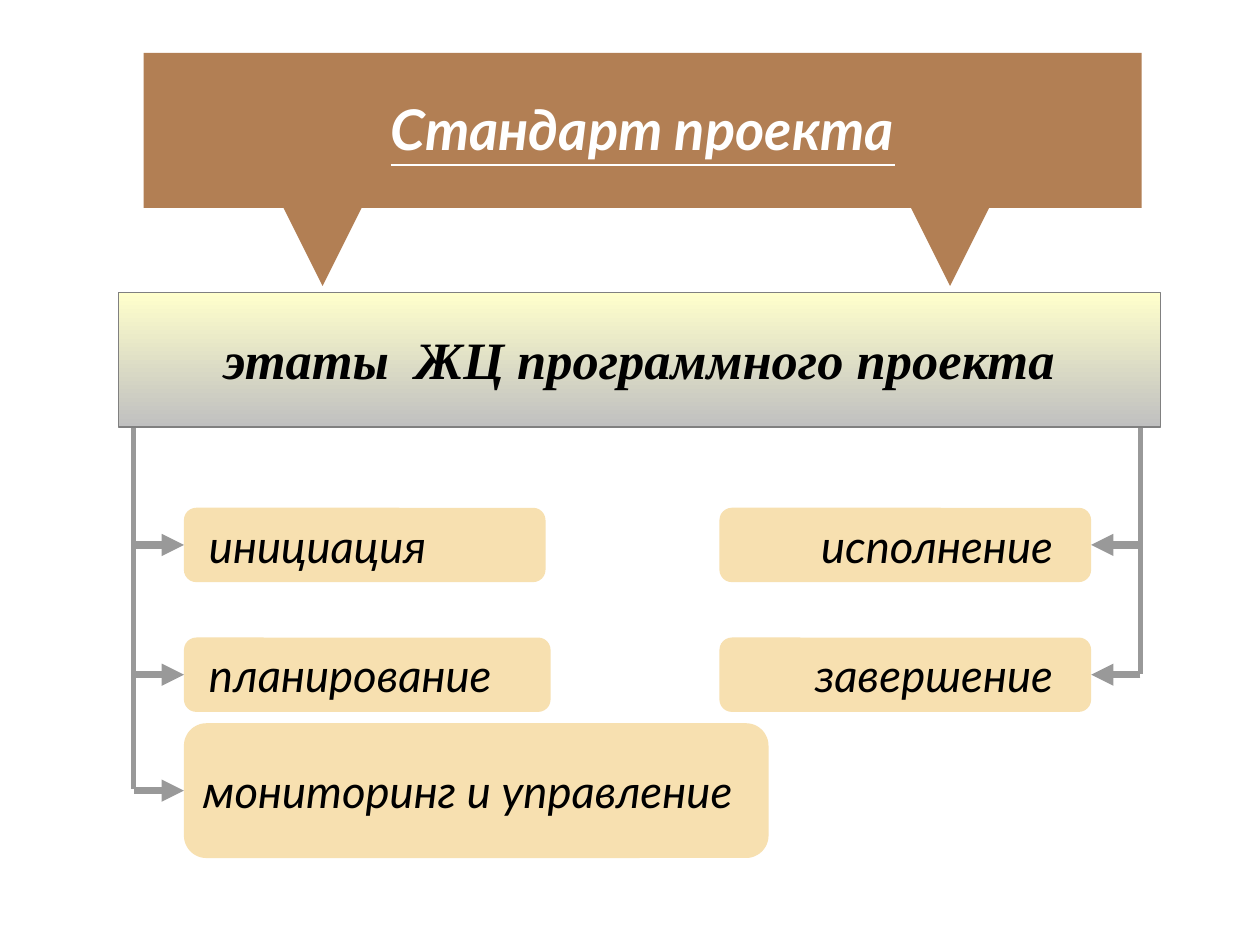
from dataclasses import dataclass

from lxml import etree
from pptx import Presentation
from pptx.dml.color import RGBColor
from pptx.enum.shapes import MSO_CONNECTOR, MSO_SHAPE
from pptx.enum.text import MSO_ANCHOR, PP_ALIGN
from pptx.oxml.ns import qn
from pptx.util import Inches, Pt

STRAIGHT = MSO_CONNECTOR.STRAIGHT
RECTANGLE = MSO_SHAPE.RECTANGLE
ROUNDED = MSO_SHAPE.ROUNDED_RECTANGLE
MIDDLE = MSO_ANCHOR.MIDDLE
LEFT, CENTER, RIGHT = PP_ALIGN.LEFT, PP_ALIGN.CENTER, PP_ALIGN.RIGHT

BROWN = RGBColor(0xB2, 0x7F, 0x54)
SAND = RGBColor(0xF7, 0xE0, 0xB0)
CREAM = RGBColor(0xFF, 0xFF, 0xCC)
SILVER = RGBColor(0xC0, 0xC0, 0xC0)
BORDER_GRAY = RGBColor(0x80, 0x80, 0x80)
TRUNK_GRAY = RGBColor(0x99, 0x99, 0x99)
WHITE = RGBColor(0xFF, 0xFF, 0xFF)
BLACK = RGBColor(0, 0, 0)

SIDE_LEFT, SIDE_RIGHT = 1, 3
LEFT_TRUNK, RIGHT_TRUNK = 1.06, 9.05
ROW_ONE, ROW_TWO, ROW_THREE = 4.03, 5.06, 5.74


@dataclass(frozen=True)
class Area:
    left: float
    top: float
    width: float
    height: float

    @property
    def middle(self) -> float:
        return self.top + self.height / 2


@dataclass(frozen=True)
class Stage:
    text: str
    area: Area
    align: PP_ALIGN = LEFT
    left_margin: float = 0.1
    right_margin: float = 0.1

    @property
    def on_left(self) -> bool:
        return self.align == LEFT


TITLE_AREA = Area(1.14, 0.42, 7.92, 1.23)
HEADING_AREA = Area(0.94, 2.32, 8.27, 1.07)
STAGES = [
    Stage("инициация", Area(1.46, ROW_ONE, 2.87, 0.59), left_margin=0.17),
    Stage("планирование", Area(1.46, ROW_TWO, 2.91, 0.59), left_margin=0.17),
    Stage("мониторинг и управление", Area(1.46, ROW_THREE, 4.64, 1.07)),
    Stage("исполнение", Area(5.71, ROW_ONE, 2.95, 0.59), RIGHT, right_margin=0.27),
    Stage("завершение", Area(5.71, ROW_TWO, 2.95, 0.59), RIGHT, right_margin=0.27),
]


def add_box(page, area: Area, kind=RECTANGLE, fill=None):
    box = page.shapes.add_shape(
        kind, Inches(area.left), Inches(area.top), Inches(area.width), Inches(area.height)
    )
    box.shadow.inherit = False
    box.line.fill.background()
    if fill is not None:
        box.fill.solid()
        box.fill.fore_color.rgb = fill
    return box


def write_text(box, text: str, *, size: float, font="Lato", color=BLACK, bold=False,
               underline=False, align=CENTER, spacing=1.0, margins=(0.1, 0.05, 0.1, 0.05)):
    frame = box.text_frame
    frame.word_wrap = True
    frame.vertical_anchor = MIDDLE
    frame.margin_left, frame.margin_top, frame.margin_right, frame.margin_bottom = map(
        Inches, margins
    )
    para = frame.paragraphs[0]
    para.alignment = align
    para.line_spacing = spacing
    span = para.add_run()
    span.text = text
    span.font.name = font
    span.font.size = Pt(size)
    span.font.color.rgb = color
    span.font.bold = bold
    span.font.italic = True
    span.font.underline = underline


def add_line(page, start: tuple[float, float], end: tuple[float, float], *,
             color: RGBColor, weight: float, arrow=False):
    line = page.shapes.add_connector(STRAIGHT, *map(Inches, start + end))
    line.line.color.rgb = color
    line.line.width = Pt(weight)
    if arrow:
        outline = line.line._get_or_add_ln()
        etree.SubElement(outline, qn("a:tailEnd"), type="triangle")
    etree.SubElement(line._element.spPr, qn("a:effectLst"))
    return line


def add_stage(page, stage: Stage):
    area = stage.area
    box = add_box(page, area, ROUNDED, SAND)
    write_text(box, stage.text, size=26, align=stage.align,
               margins=(stage.left_margin, 0.05, stage.right_margin, 0.05))
    trunk = LEFT_TRUNK if stage.on_left else RIGHT_TRUNK
    edge = area.left if stage.on_left else area.left + area.width
    branch = add_line(page, (trunk, area.middle), (edge, area.middle),
                      color=TRUNK_GRAY, weight=4.25, arrow=True)
    branch.end_connect(box, SIDE_LEFT if stage.on_left else SIDE_RIGHT)


def main():
    deck = Presentation()
    deck.slide_width, deck.slide_height = Inches(10), Inches(7.5)
    page = deck.slides.add_slide(deck.slide_layouts[6])

    for trunk, top, bottom in ((LEFT_TRUNK, 3.11, 6.26), (RIGHT_TRUNK, 3.23, 5.35)):
        add_line(page, (trunk, top), (trunk, bottom), color=TRUNK_GRAY, weight=2.83)

    title = add_box(page, TITLE_AREA, fill=BROWN)
    write_text(title, "Стандарт проекта", size=32, color=WHITE, bold=True,
               underline=True, spacing=0.97, margins=(0.03, 0.04, 0.03, 0.03))
    for x in (2.56, 7.54):
        add_line(page, (x, 1.64), (x, 2.27), color=BROWN, weight=17, arrow=True)

    heading = add_box(page, HEADING_AREA)
    heading.fill.gradient()
    heading.fill.gradient_angle = 270
    for stop, color, position in zip(heading.fill.gradient_stops, (CREAM, SILVER), (0, 1)):
        stop.color.rgb = color
        stop.position = position
    heading.line.color.rgb = BORDER_GRAY
    heading.line.width = Pt(0.75)
    write_text(heading, "этаты  ЖЦ программного проекта", size=30, font="Times New Roman",
               bold=True, spacing=0.93, margins=(0, 0.03, 0, 0))

    for stage in STAGES:
        add_stage(page, stage)

    deck.save("out.pptx")


if __name__ == "__main__":
    main()
